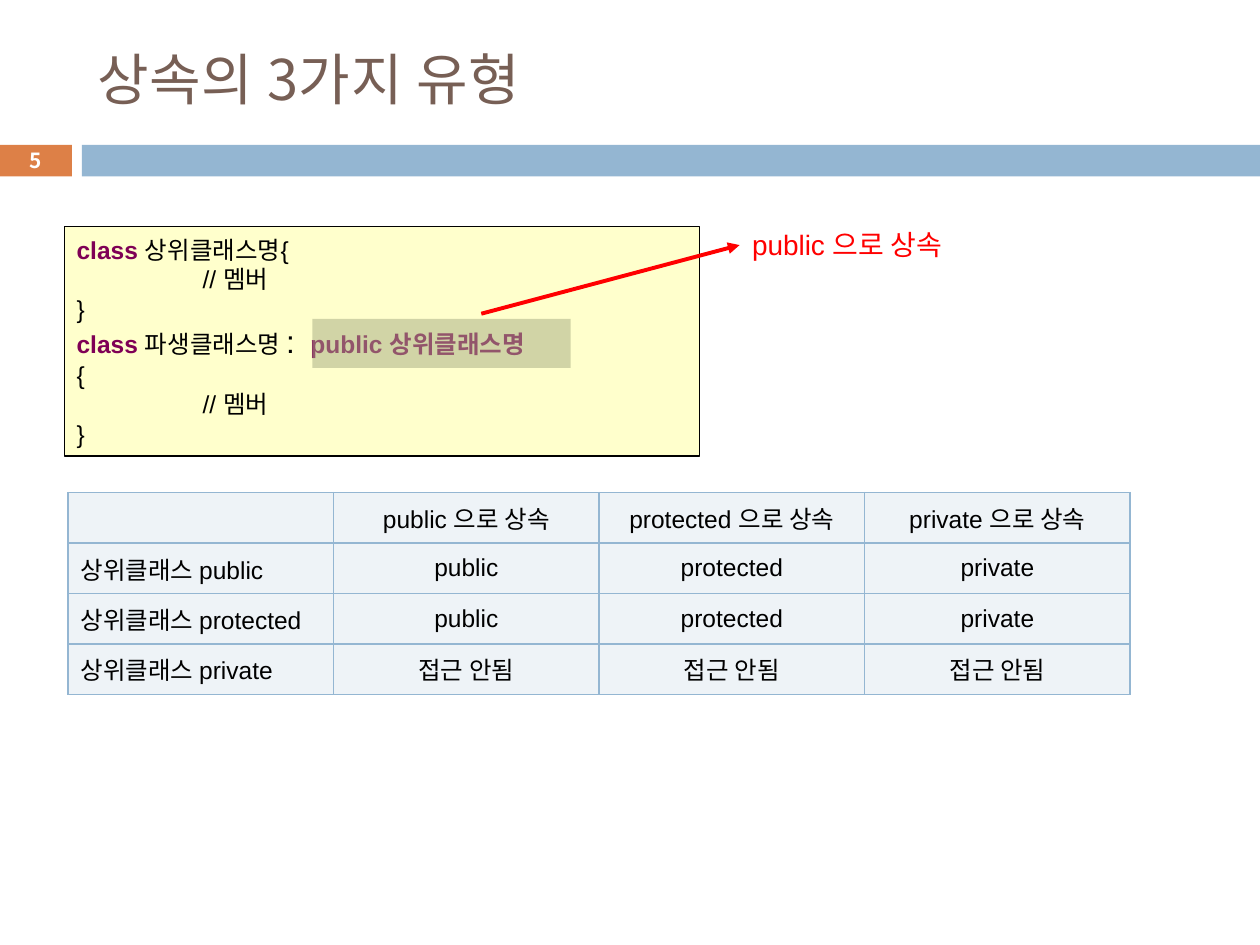
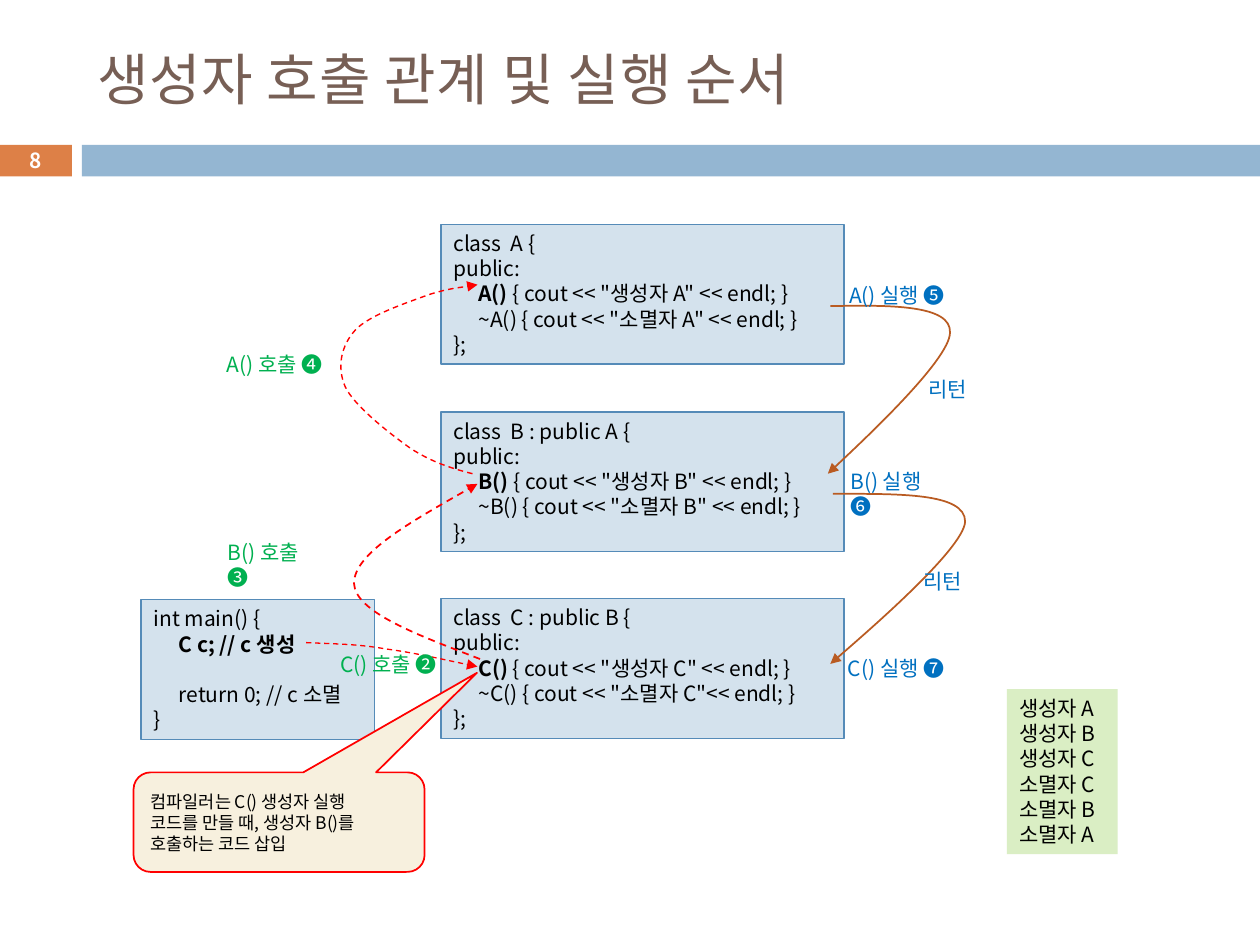
"""Build two slides on C++ inheritance: access types and constructor call order."""
from lxml import etree
from pptx import Presentation
from pptx import util as u
from pptx.dml.color import RGBColor
from pptx.enum import dml, shapes, text
from pptx.oxml import ns

KOREAN, LATIN = "Noto Sans CJK KR", "Arial"
BLACK, WHITE, RED = "000000", "FFFFFF", "FF0000"
BROWN, ORANGE, BAND = "775F55", "DD8047", "94B6D2"
PURPLE, BLUE, GREEN, RUST = "7F0055", "0070C0", "00B050", "B95B22"
CODE_FILL, CODE_LINE = "D4E2ED", "558BB8"
LEFT, CENTER = text.PP_ALIGN.LEFT, text.PP_ALIGN.CENTER
TOP, MIDDLE = text.MSO_ANCHOR.TOP, text.MSO_ANCHOR.MIDDLE
RECTANGLE = shapes.MSO_SHAPE.RECTANGLE
CALLOUT = shapes.MSO_SHAPE.ROUNDED_RECTANGULAR_CALLOUT


def paint(fill, color):
    """Make a fill solid in the given hex colour."""
    fill.solid()
    fill.fore_color.rgb = RGBColor.from_string(color)


def write(frame, lines, size, color=BLACK, face=KOREAN, strong=None,
          align=LEFT, anchor=TOP, tab=0.2, exact=True):
    """Write lines of spans; a span is a string, or a (string,) when bold."""
    frame.word_wrap = True
    frame.vertical_anchor = anchor
    for number, line in enumerate(lines):
        para = frame.paragraphs[0] if number == 0 else frame.add_paragraph()
        para.alignment = align
        if exact:
            para.line_spacing = u.Pt(round(size * 1.2, 1))
        spans = [line] if isinstance(line, str) else line
        if "\t" in "".join(span if isinstance(span, str) else span[0] for span in spans):
            tabs = etree.SubElement(para._p.get_or_add_pPr(), ns.qn("a:tabLst"))
            etree.SubElement(tabs, ns.qn("a:tab"), pos=str(u.Inches(tab)), algn="l")
        for span in spans:
            bold = isinstance(span, tuple)
            run = para.add_run()
            run.text = span[0] if bold else span
            run.font.size, run.font.bold, run.font.name = u.Pt(size), bold, face
            paint(run.font.fill, strong if bold and strong else color)
            east = etree.Element(ns.qn("a:ea"), typeface=KOREAN)
            run._r.rPr.find(ns.qn("a:latin")).addnext(east)


deck = Presentation()
deck.slide_width, deck.slide_height = u.Inches(10), u.Inches(7.5)
boxes = []
pages = []
for heading in ("상속의 3가지 유형", "생성자 호출 관계 및 실행 순서"):
    page = deck.slides.add_slide(deck.slide_layouts[5])
    pages.append(page)
    title = page.shapes.title
    title.left, title.top, title.width, title.height = map(u.Inches, (0.67, 0.25, 8.92, 0.74))
    write(title.text_frame, [heading], 32, BROWN, anchor=MIDDLE)
    title.text_frame.paragraphs[0].runs[0]._r.rPr.set("spc", "40")
    boxes += [
        (page, RECTANGLE, (-0.01, 1.15, 0.58, 0.25), ORANGE, None, 0, [], {}),
        (page, RECTANGLE, (0.65, 1.15, 9.35, 0.25), BAND, None, 0, [], {}),
    ]
access, order = pages

inheritance_code = [
    [("class ",), "상위클래스명{"],
    "\t// 멤버",
    "}",
    [("class ",), "파생클래스명 ", ": ", (" public 상위클래스명",)],
    "{",
    "\t// 멤버",
    "}",
]
boxes += [
    (access, RECTANGLE, (0.51, 1.8, 5.04, 1.82), "FFFFCC", BLACK, 0.75, inheritance_code,
     dict(size=14, face=LATIN, strong=PURPLE, anchor=MIDDLE, tab=1)),
    (access, RECTANGLE, (2.48, 2.53, 2.05, 0.39), "A5AB81", None, 0, [], {}),
]
for row, (name, parent, gap) in enumerate([("A", "", " "), ("B", ": public A ", " "),
                                           ("C", ": public B ", "")]):
    class_code = [
        f"class  {name} {parent}{{",
        "public:",
        ["\t", (f"{name}() ",), f'{{ cout << "생성자 {name}" << endl; }}'],
        f'\t~{name}() {{ cout << "소멸자 {name}"{gap}<< endl; }}',
        "};",
    ]
    boxes.append((order, RECTANGLE, (3.5, round(1.78 + row * 1.485, 2), 3.2, 1.11), CODE_FILL,
                  CODE_LINE, 0.75, class_code, dict(size=12)))
main_code = ["int main() {", ["\t", ("C c; // c 생성",)], "\treturn 0; // c 소멸", "}"]
output = [f"{kind} {name}" for kind, names in (("생성자", "ABC"), ("소멸자", "CBA"))
          for name in names]
remark = ["컴파일러는 C() 생성자 실행 코드를 만들 때, 생성자 B()를 호출하는 코드 삽입"]
boxes += [
    (order, RECTANGLE, (1.12, 4.76, 1.85, 1.11), CODE_FILL, CODE_LINE, 0.75, main_code,
     dict(size=12)),
    (order, RECTANGLE, (7.99, 5.47, 0.88, 1.31), "DAEEC4", None, 0, output, dict(size=12)),
    (order, CALLOUT, (1.06, 6.13, 2.31, 0.79), "F7F0DE", RED, 1, remark,
     dict(size=10, anchor=MIDDLE)),
]
for page, preset, place, fill, line, width, lines, style in boxes:
    box = page.shapes.add_shape(preset, *map(u.Inches, place))
    box.shadow.inherit = False
    paint(box.fill, fill)
    if line:
        paint(box.line.fill, line)
        box.line.width = u.Pt(width)
    else:
        box.line.fill.background()
    if lines:
        write(box.text_frame, lines, **style)
    if lines is inheritance_code:
        colon_line = box.text_frame.paragraphs[3]
        colon_line.line_spacing = u.Pt(21)
        colon_line.runs[2].font.size = u.Pt(18)
    elif lines is main_code:
        box.text_frame.paragraphs[2].space_before = u.Pt(14.4)
    elif preset == CALLOUT:
        box.text_frame.margin_right = u.Inches(0.25)
        for index, value in enumerate((0.68, -1.5, 0.17)):
            box.adjustments[index] = value
    elif fill == "A5AB81":
        tint = box.fill._xPr.find(".//" + ns.qn("a:srgbClr"))
        etree.SubElement(tint, ns.qn("a:alpha"), val="50000")

for page, number in zip(pages, "58"):
    box = page.shapes.add_textbox(*map(u.Inches, (-0.01, 1.14, 0.58, 0.27)))
    write(box.text_frame, [[(number,)]], 11.9, WHITE, align=CENTER, anchor=MIDDLE)

kinds = ["public", "protected", "private"]
rows = [[""] + [f"{kind} 으로 상속" for kind in kinds]]
rows += [[f"상위클래스 {kind}"] + (["접근 안됨"] * 3 if kind == "private" else kinds)
         for kind in kinds]
table = access.shapes.add_table(4, 4, *map(u.Inches, (0.54, 3.91, 8.43, 1.6))).table
table.first_row = table.horz_banding = False
for row, words in enumerate(rows):
    for column, word in enumerate(words):
        cell = table.cell(row, column)
        paint(cell.fill, "EEF3F7")
        cell.vertical_anchor = MIDDLE
        if word:
            write(cell.text_frame, [word], 14, face=LATIN, anchor=MIDDLE, exact=False,
                  align=CENTER if column else text.PP_ALIGN.JUSTIFY)
        for index, side in enumerate(("lnL", "lnR", "lnT", "lnB")):
            border = etree.Element(ns.qn("a:" + side), w=str(u.Pt(1)))
            solid = etree.SubElement(border, ns.qn("a:solidFill"))
            etree.SubElement(solid, ns.qn("a:srgbClr"), val=BAND)
            cell._tc.tcPr.insert(index, border)

curves = [
    (RED, 0.79, True, [(3.75, 3.76), (3.59, 3.72), (3.43, 3.67), (3.26, 3.56),
                       (3.09, 3.44), (2.81, 3.22), (2.74, 3.07),
                       (2.67, 2.91), (2.71, 2.74), (2.82, 2.62),
                       (2.93, 2.5), (3.24, 2.4), (3.4, 2.34),
                       (3.56, 2.29), (3.68, 2.28), (3.79, 2.26)]),
    (RUST, 1, False, [(6.59, 2.43), (7.07, 2.42), (7.55, 2.42), (7.54, 2.64),
                      (7.54, 2.86), (6.57, 3.76), (6.57, 3.76)]),
    (RUST, 1, False, [(6.61, 3.92), (7.13, 3.92), (7.66, 3.91), (7.66, 4.14),
                      (7.65, 4.36), (6.59, 5.27), (6.59, 5.27)]),
    (RED, 0.75, True, [(2.43, 5.1), (2.63, 5.11), (2.84, 5.11), (3.06, 5.15),
                       (3.29, 5.18), (3.54, 5.24), (3.79, 5.29)]),
    (RED, 1, True, [(3.81, 5.23), (3.32, 5.04), (2.82, 4.86), (2.81, 4.63),
                    (2.81, 4.39), (3.3, 4.12), (3.79, 3.84)]),
]
arrows = []
for color, width, dashed, knots in curves:
    points = [tuple(map(u.Inches, knot)) for knot in knots]
    builder = order.shapes.build_freeform(*points[0])
    builder.add_line_segments(points[1:], close=False)
    curve = builder.convert_to_shape()
    segments = list(curve._element.iter(ns.qn("a:lnTo")))
    for first in range(0, len(segments), 3):
        bezier = etree.Element(ns.qn("a:cubicBezTo"))
        segments[first].addprevious(bezier)
        for segment in segments[first:first + 3]:
            bezier.append(segment[0])
            segment.getparent().remove(segment)
    curve.shadow.inherit = False
    curve.fill.background()
    if dashed:
        curve.line.dash_style = dml.MSO_LINE.DASH
    arrows.append((curve, color, width))

labels = [
    (access, 5.87, 1.76, 1.88, 0.37, "public 으로 상속", RED),
    (order, 6.64, 2.19, 1.02, 0.3, "A() 실행 ❺", BLUE),
    (order, 6.65, 3.67, 1.01, 0.3, "B() 실행 ❻", BLUE),
    (order, 6.63, 5.15, 1.11, 0.3, "C() 실행 ❼", BLUE),
    (order, 2.6, 5.12, 1.02, 0.3, "C() 호출 ❷", GREEN),
    (order, 1.71, 4.23, 1.01, 0.3, "B() 호출 ❸", GREEN),
    (order, 1.7, 2.74, 1.02, 0.3, "A() 호출 ❹", GREEN),
    (order, 7.27, 2.94, 0.54, 0.3, "리턴", BLUE),
    (order, 7.23, 4.46, 0.54, 0.3, "리턴", BLUE),
]
for page, left, top, width, height, words, color in labels:
    label = page.shapes.add_textbox(*map(u.Inches, (left, top, width, height)))
    size, face = (16, LATIN) if page is access else (12, KOREAN)
    write(label.text_frame, [words], size, color, face)
    if words.startswith("B()"):
        label.text_frame.margin_right = u.Inches(0.18)
    if page is access:
        pointer = page.shapes.add_connector(shapes.MSO_CONNECTOR.STRAIGHT,
                                            *map(u.Inches, (3.82, 2.49, 5.87, 1.94)))
        pointer.end_connect(label, 1)
        arrows.append((pointer, RED, 2.25))

for arrow, color, width in arrows:
    paint(arrow.line.fill, color)
    arrow.line.width = u.Pt(width)
    etree.SubElement(arrow.line._get_or_add_ln(), ns.qn("a:tailEnd"), type="triangle")
    if arrow is pointer:
        etree.SubElement(arrow._element.spPr, ns.qn("a:effectLst"))

deck.save("out.pptx")
